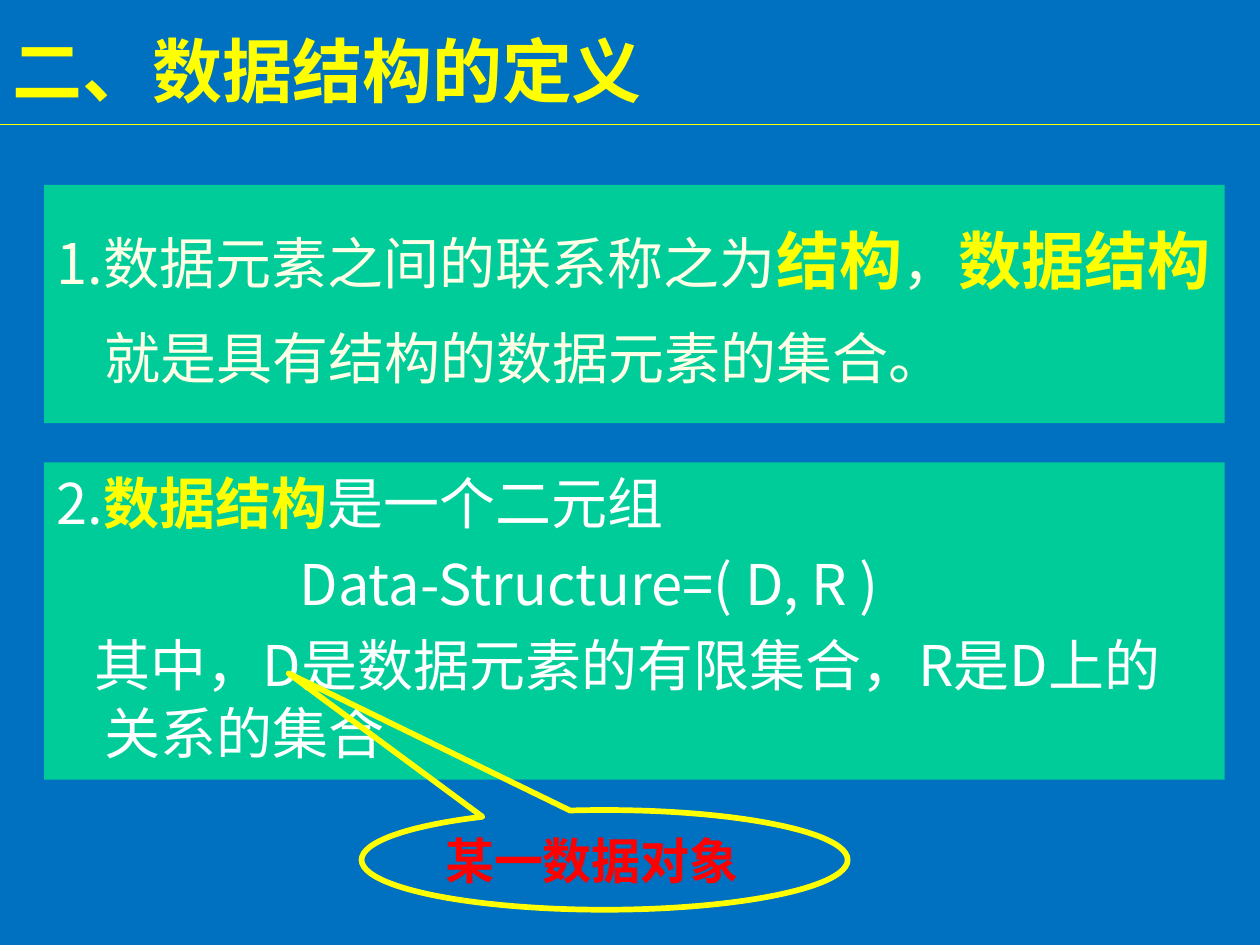
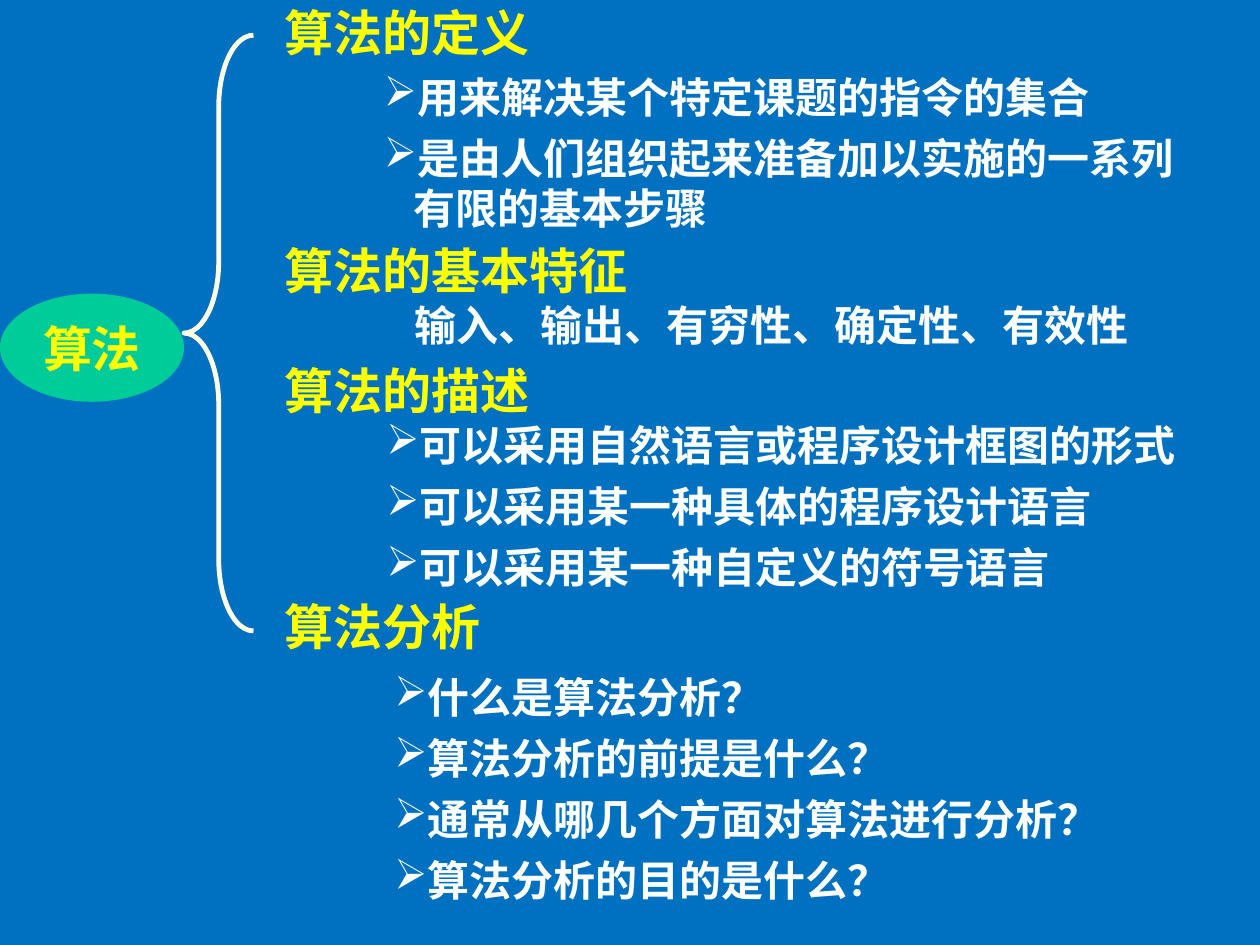
import pptx
import pptx.util
from lxml import etree
from pptx.dml.color import RGBColor
from pptx.enum.shapes import MSO_CONNECTOR, MSO_SHAPE
from pptx.enum.text import MSO_ANCHOR, MSO_AUTO_SIZE, PP_ALIGN
from pptx.oxml.ns import qn
from pptx.util import Cm, Pt

# Shared style
BLUE = RGBColor(0x00, 0x70, 0xC0)
GREEN = RGBColor(0x00, 0xCC, 0x99)
YELLOW = RGBColor(0xFF, 0xFF, 0x00)
CREAM = RGBColor(0xFF, 0xFF, 0xE7)
WHITE = RGBColor(0xFE, 0xFF, 0xFF)
RED = RGBColor(0xFF, 0x00, 0x00)
FONT = "Noto Sans CJK SC"
SLIDE_WIDTH, SLIDE_HEIGHT = 25.4, 19.05

# Run styles: size, colour, bold
TITLE = (40, YELLOW, True)
HEADING = (28, YELLOW, True)
DETAIL = (24, WHITE, True)
CALLOUT = (28, RED, True)
CREAM_TEXT = (32, CREAM, False)
WHITE_TEXT = (32, WHITE, False)
BIG_TERM = (36, YELLOW, True)
TERM = (32, YELLOW, True)

# Content: a paragraph is (runs, left margin, first-line indent) in cm
DEFINITION_TITLE = "二、数据结构的定义"
HANGING = 0.97
DEFINITIONS = [
    # top, height, line spacing, paragraphs
    (3.73, 4.8, 1.4, [
        ([("1.数据元素之间的联系称之为", CREAM_TEXT), ("结构", BIG_TERM),
          ("，", CREAM_TEXT), ("数据结构", BIG_TERM),
          ("就是具有结构的数据元素的集合。", CREAM_TEXT)], HANGING, -HANGING),
    ]),
    (9.32, 6.4, 1.0, [
        ([("2.", WHITE_TEXT), ("数据结构", TERM), ("是一个二元组", WHITE_TEXT)],
         HANGING, -HANGING),
        ([("Data-Structure=( D, R )", WHITE_TEXT)], 4.9, 0),
        ([("其中，D是数据元素的有限集合，R是D上的关系的集合", WHITE_TEXT)],
         HANGING, -0.2),
    ]),
]
DATA_OBJECT = "某一数据对象"

ALGORITHM = "算法"
TOPICS = [
    # heading, its top and width, details, their box, bulleted
    ("算法的定义", -0.08, 5.59,
     ["用来解决某个特定课题的指令的集合",
      "是由人们组织起来准备加以实施的一系列有限的基本步骤"],
     (7.49, 1.32, 16.79, 3.53), True),
    ("算法的基本特征", 4.72, 7.8,
     ["输入、输出、有穷性、确定性、有效性"],
     (8.1, 5.92, 15.34, 1.27), False),
    ("算法的描述", 7.14, 5.74,
     ["可以采用自然语言或程序设计框图的形式",
      "可以采用某一种具体的程序设计语言",
      "可以采用某一种自定义的符号语言"],
     (7.54, 8.33, 17.35, 3.73), True),
    ("算法分析", 11.91, 4.6,
     ["什么是算法分析？", "算法分析的前提是什么？",
      "通常从哪几个方面对算法进行分析？", "算法分析的目的是什么？"],
     (7.7, 13.41, 15.47, 4.95), True),
]


def style_run(run, style):
    size, color, bold = style
    run.font.size, run.font.bold, run.font.name = Pt(size), bold, FONT
    run.font.color.rgb = color
    latin = run.font._element.find(qn("a:latin"))
    east_asian = etree.Element(qn("a:ea"), typeface=FONT)
    latin.addnext(east_asian)


def set_bullet(paragraph):
    properties = paragraph._p.get_or_add_pPr()
    color = etree.SubElement(properties, qn("a:buClr"))
    etree.SubElement(color, qn("a:srgbClr"), val=str(WHITE))
    etree.SubElement(properties, qn("a:buChar"), char="➢")


def fill_text(frame, paragraphs, space=0, line_spacing=1.0, bulleted=False,
              align=PP_ALIGN.LEFT, anchor=MSO_ANCHOR.TOP):
    frame.word_wrap = True
    frame.vertical_anchor = anchor
    for index, (runs, margin, indent) in enumerate(paragraphs):
        paragraph = frame.add_paragraph() if index else frame.paragraphs[0]
        if bulleted:
            set_bullet(paragraph)
        properties = paragraph._p.get_or_add_pPr()
        properties.set("marL", str(Cm(margin)))
        properties.set("indent", str(Cm(indent)))
        paragraph.alignment = align
        paragraph.line_spacing = line_spacing
        paragraph.space_before = Pt(space if index else 0)
        for text, style in runs:
            run = paragraph.add_run()
            run.text = text
            style_run(run, style)


def plain(text, style, margin=0, indent=0):
    return [(text, style)], margin, indent


def add_shape(slide, kind, box, fill=None, line=None, width=0):
    shape = slide.shapes.add_shape(kind, *map(Cm, box))
    shape.shadow.inherit = False
    if fill is None:
        shape.fill.background()
    else:
        shape.fill.solid()
        shape.fill.fore_color.rgb = fill
    if line is None:
        shape.line.fill.background()
    else:
        shape.line.color.rgb = line
        shape.line.width = Pt(width)
    return shape


def add_text(slide, box, paragraphs, **options):
    frame = slide.shapes.add_textbox(*map(Cm, box)).text_frame
    fill_text(frame, paragraphs, **options)
    frame.auto_size = MSO_AUTO_SIZE.SHAPE_TO_FIT_TEXT


def build_definition(deck):
    slide = deck.slides.add_slide(deck.slide_layouts[5])

    # Title and rule
    title = slide.shapes.title
    title.left, title.top, title.width, title.height = map(
        Cm, (0, 0.46, 17.09, 1.9))
    fill_text(title.text_frame, [plain(DEFINITION_TITLE, TITLE)],
              anchor=MSO_ANCHOR.MIDDLE)
    title.text_frame.auto_size = MSO_AUTO_SIZE.NONE
    rule = slide.shapes.add_connector(
        MSO_CONNECTOR.STRAIGHT, 0, Cm(2.51), Cm(SLIDE_WIDTH), Cm(2.51))
    rule.line.color.rgb = YELLOW
    rule.line.width = Pt(1)
    etree.SubElement(rule._element.spPr, qn("a:effectLst"))

    # Definition panels
    for top, height, line_spacing, paragraphs in DEFINITIONS:
        panel = add_shape(slide, MSO_SHAPE.RECTANGLE,
                          (0.89, top, 23.8, height), GREEN)
        fill_text(panel.text_frame, paragraphs, space=8,
                  line_spacing=line_spacing)

    # Callout pointing at D
    callout = add_shape(slide, MSO_SHAPE.OVAL_CALLOUT,
                        (7.29, 16.33, 9.8, 2.01), line=YELLOW, width=3.25)
    callout.adjustments[0], callout.adjustments[1] = -0.65, -1.87
    fill_text(callout.text_frame, [plain(DATA_OBJECT, CALLOUT)],
              anchor=MSO_ANCHOR.MIDDLE)


def build_algorithm(deck):
    slide = deck.slides.add_slide(deck.slide_layouts[6])

    # Root and brace
    root = add_shape(slide, MSO_SHAPE.OVAL, (0, 5.92, 3.71, 2.18), GREEN)
    fill_text(root.text_frame, [plain(ALGORITHM, HEADING)],
              align=PP_ALIGN.CENTER, anchor=MSO_ANCHOR.MIDDLE)
    brace = add_shape(slide, MSO_SHAPE.LEFT_BRACE, (3.71, 0.71, 1.4, 12.01),
                      line=CREAM, width=2.75)
    brace.adjustments[0] = 1.03

    # Topics with their details
    for heading, top, width, details, box, bulleted in TOPICS:
        add_text(slide, (5.49, top, width, 1.45), [plain(heading, HEADING)])
        margin = 0.6 if bulleted else 0
        add_text(slide, box,
                 [plain(detail, DETAIL, margin, -margin) for detail in details],
                 space=6, bulleted=bulleted)


def main():
    deck = pptx.Presentation()
    deck.slide_width, deck.slide_height = Cm(SLIDE_WIDTH), Cm(SLIDE_HEIGHT)
    background = deck.slide_master.background.fill
    background.solid()
    background.fore_color.rgb = BLUE
    build_definition(deck)
    build_algorithm(deck)
    deck.save("out.pptx")


if __name__ == "__main__":
    main()
